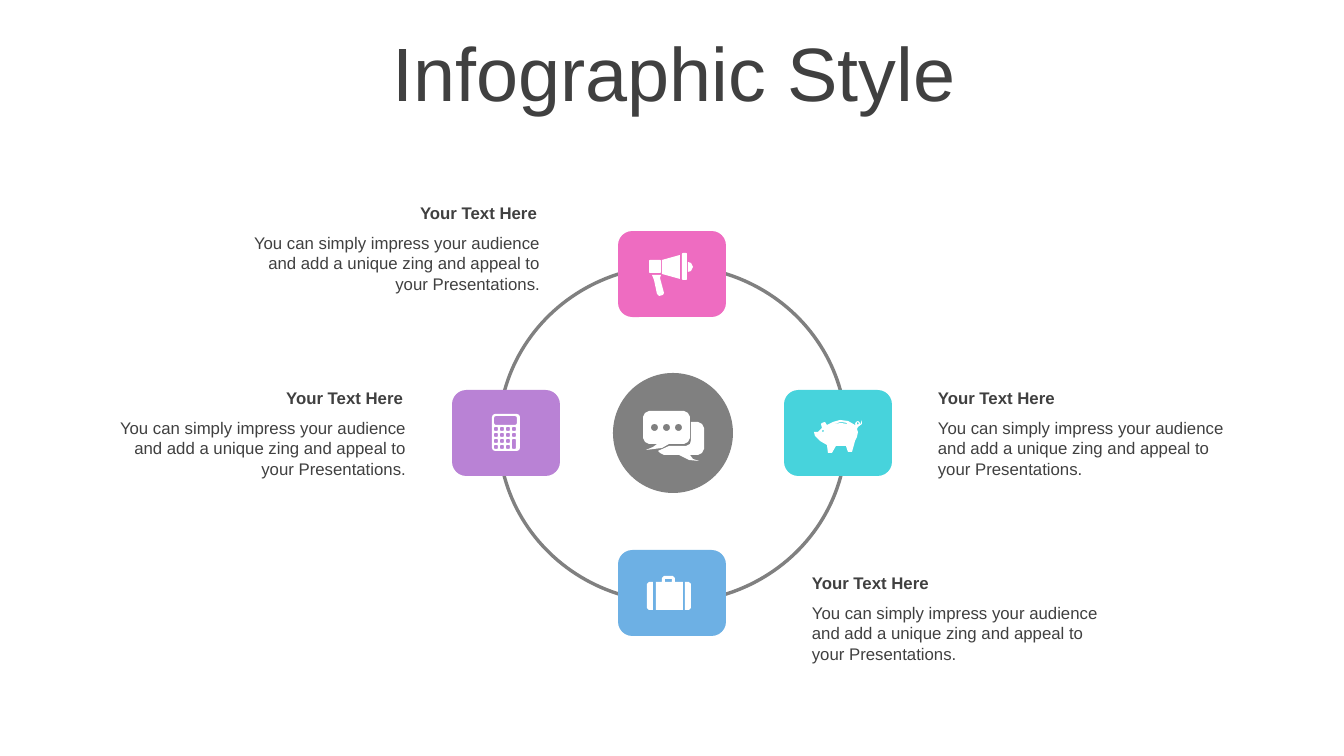
from math import cos, pi, sin

from pptx import Presentation
from pptx.dml.color import RGBColor
from pptx.enum.shapes import MSO_SHAPE
from pptx.enum.text import MSO_ANCHOR, MSO_AUTO_SIZE, PP_ALIGN
from pptx.util import Emu, Pt

PX = 914400 / 100.8
INK, GRAY, WHITE = "404040", "808080", "FFFFFF"
HEADING = "Your Text Here"
BODY = ("You can simply impress your audience and add a unique zing "
        "and appeal to your Presentations.")


def box(*lengths):
    """Turn px lengths into EMU."""
    return [Emu(round(v * PX)) for v in lengths]


def color(value):
    """Turn a hex string into a colour."""
    return RGBColor.from_string(value)


def paint(sp, fill):
    """Give a shape a flat fill with no line or shadow."""
    sp.shadow.inherit = False
    sp.fill.solid()
    sp.fill.fore_color.rgb = color(fill)
    sp.line.fill.background()


def preset(s, kind, x, y, w, h, fill):
    """Add a flat preset shape and return it."""
    sp = s.shapes.add_shape(kind, *box(x, y, w, h))
    paint(sp, fill)
    return sp


def pane(x, y, w, h, r=0):
    """Return the outline of a rectangle with corners of radius r."""
    if not r:
        return [(x, y), (x + w, y), (x + w, y + h), (x, y + h)]
    centres = [(x + w - r, y + h - r), (x + r, y + h - r),
               (x + r, y + r), (x + w - r, y + r)]
    return [(cx + r * cos((2 * i + k) * pi / 4),
             cy + r * sin((2 * i + k) * pi / 4))
            for i, (cx, cy) in enumerate(centres) for k in range(3)]


def icon(s, x, y, contours):
    """Add one white outline; contours inside others are holes."""
    builder = None
    for contour in contours:
        points = [box(x + dx, y + dy) for dx, dy in contour]
        if builder is None:
            builder = s.shapes.build_freeform(*points[0], scale=1.0)
        else:
            builder.move_to(*points[0])
        builder.add_line_segments(points[1:], close=True)
    paint(builder.convert_to_shape(), WHITE)


def title(s, x, y, w, h):
    """Place the slide title."""
    sp = s.shapes.title
    sp.left, sp.top, sp.width, sp.height = box(x, y, w, h)
    tf = sp.text_frame
    tf.text = "Infographic Style"
    tf.vertical_anchor = MSO_ANCHOR.MIDDLE
    tf.auto_size = MSO_AUTO_SIZE.NONE
    tf.paragraphs[0].line_spacing = 0.9
    style(tf.paragraphs[0], 54, PP_ALIGN.CENTER)


def style(p, size, align, bold=False):
    """Align a paragraph and format its runs."""
    p.alignment = align
    for r in p.runs:
        r.font.name = "Arial"
        r.font.size = Pt(size)
        r.font.bold = bold
        r.font.color.rgb = color(INK)


def caption(s, x, y, align):
    """Place a bold heading above its description."""
    grp = s.shapes.add_group_shape()
    for text, dy, w, h in ((BODY, 30, 317, 72), (HEADING, 0, 314, 30)):
        tf = grp.shapes.add_textbox(*box(x, y + dy, w, h)).text_frame
        tf.word_wrap = True
        tf.auto_size = MSO_AUTO_SIZE.SHAPE_TO_FIT_TEXT
        tf.text = text
        style(tf.paragraphs[0], 12, align, bold=text == HEADING)


def calculator(s, x, y):
    """Draw a calculator on the tile at x, y."""
    keys = [pane(42 + 6 * col, 37 + 6 * row, 4,
                 10 if (row, col) == (2, 3) else 4, 1)
            for row in range(4) for col in range(4) if (row, col) != (3, 3)]
    icon(s, x, y, [*keys, pane(42, 26, 23, 9, 2), pane(40, 24, 28, 37, 3)])


def chat(s, x, y):
    """Draw two speech bubbles on the disc at x, y."""
    dots = [pane(38 + 12 * i, 51, 7, 7, 3) for i in range(3)]
    back = [(78, 49), (85, 49), (89, 51), (91, 55), (91, 76), (89, 80),
            (85, 82), (77, 82), (80, 86), (86, 88), (76, 87), (66, 82),
            (51, 82), (47, 80), (45, 78), (56, 73), (73, 73), (77, 71),
            (78, 67)]
    front = [(36, 38), (71, 38), (75, 40), (77, 44), (77, 65), (75, 69),
             (71, 71), (56, 71), (49, 75), (33, 77), (40, 74), (44, 71),
             (36, 71), (32, 69), (30, 65), (30, 44), (32, 40)]
    icon(s, x, y, [*dots, back, front])


def megaphone(s, x, y):
    """Draw a megaphone on the tile at x, y."""
    cone = [(44, 29), (62, 24), (62, 48), (44, 43)]
    knob = [(70, 31), (73, 32), (75, 36), (73, 40), (70, 41)]
    grip = [(34, 44), (43, 44), (42, 47), (46, 62), (45, 64), (41, 65),
            (39, 63), (36, 49)]
    icon(s, x, y, [grip, knob, pane(31, 29, 12, 13, 1), cone,
                   pane(64, 22, 5, 27, 1)])


def pig(s, x, y):
    """Draw a piggy bank on the tile at x, y."""
    body = [(30, 42), (34, 42), (38, 38), (37, 34), (38, 33), (41, 32),
            (43, 35), (49, 32), (56, 30), (64, 31), (71, 35), (73, 37),
            (71, 34), (72, 32), (74, 31), (76, 33), (76, 35), (78, 30),
            (78, 34), (74, 37), (73, 39), (74, 42), (73, 47), (71, 51),
            (70, 55), (68, 62), (64, 62), (62, 56), (52, 56), (48, 63),
            (44, 63), (43, 55), (36, 51), (31, 46)]
    curl = [(73, 32), (75, 33), (74, 35), (73, 34)]
    slot = [(50, 34), (57, 32), (63, 33), (63, 34), (57, 33), (51, 34)]
    icon(s, x, y, [pane(38, 40, 2, 2, 1), curl, slot, body])


def suitcase(s, x, y):
    """Draw a suitcase on the tile at x, y."""
    middle = [(38, 32), (44, 32), (44, 28), (46, 26), (55, 26), (57, 28),
              (57, 32), (65, 32), (65, 60), (38, 60)]
    left = [(31, 32), (35, 32), (35, 60), (31, 60), (29, 58), (29, 34)]
    right = [(102 - px, py) for px, py in left]
    icon(s, x, y, [right, left, pane(47, 29, 7, 3), middle])


def wheel(s, x, y):
    """Place the ring, its four tiles, the hub and all icons."""
    ring = preset(s, MSO_SHAPE.DONUT, x, y, 351, 340, GRAY)
    ring.adjustments[0] = 0.01
    top, bottom = (x + 121, y - 33), (x + 121, y + 286)
    right, left = (x + 287, y + 126), (x - 45, y + 126)
    hub = (x + 116, y + 109)
    for spot, fill in ((top, "EE6CC1"), (bottom, "6DB0E4"),
                       (right, "47D3DC"), (left, "B982D5")):
        preset(s, MSO_SHAPE.ROUNDED_RECTANGLE, *spot, 108, 86, fill)
    preset(s, MSO_SHAPE.OVAL, *hub, 120, 120, GRAY)
    for draw, spot in ((calculator, left), (chat, hub), (megaphone, top),
                       (pig, right), (suitcase, bottom)):
        draw(s, *spot)


def main():
    """Build and save the slide."""
    prs = Presentation()
    prs.slide_width, prs.slide_height = box(1344, 756)
    s = prs.slides.add_slide(prs.slide_layouts[5])
    title(s, 36, 37, 1276, 80)
    caption(s, 928, 383, PP_ALIGN.LEFT)
    caption(s, 99, 383, PP_ALIGN.RIGHT)
    caption(s, 802, 568, PP_ALIGN.LEFT)
    caption(s, 233, 198, PP_ALIGN.RIGHT)
    wheel(s, 497, 264)
    prs.save("out.pptx")


if __name__ == "__main__":
    main()
